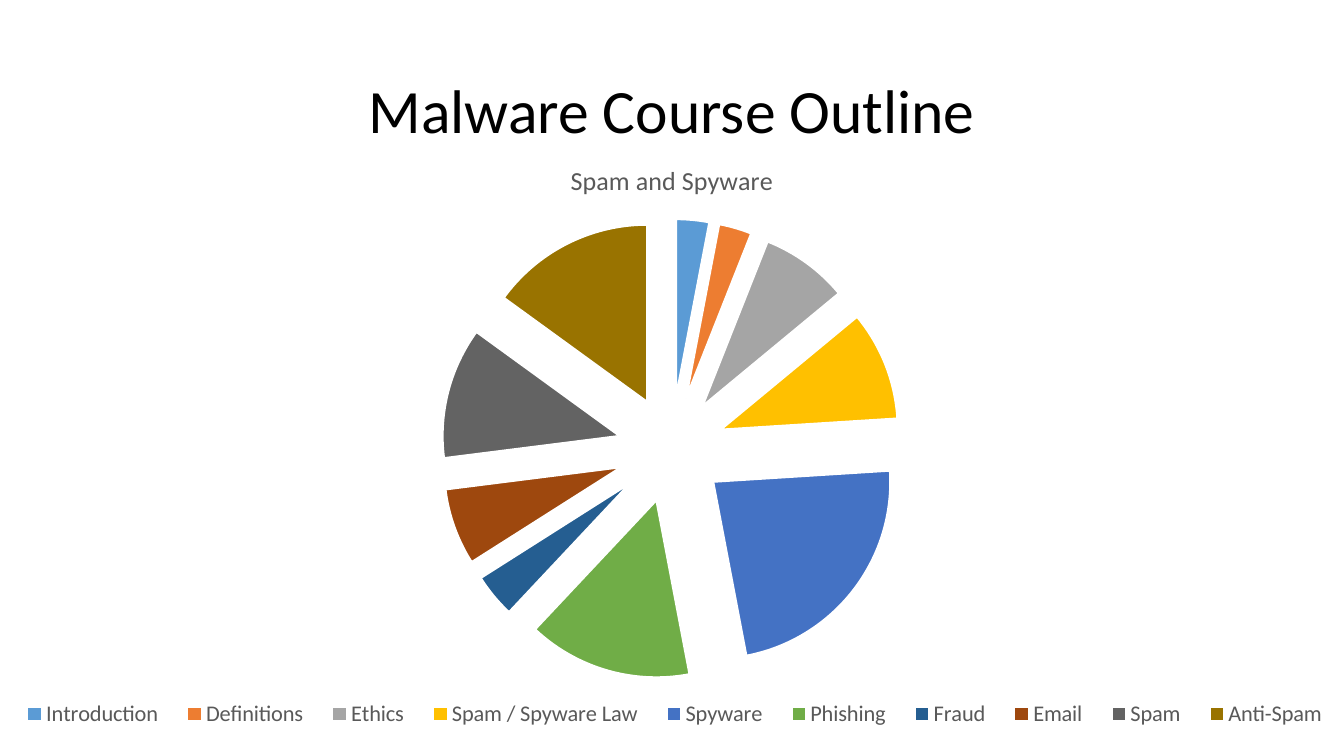
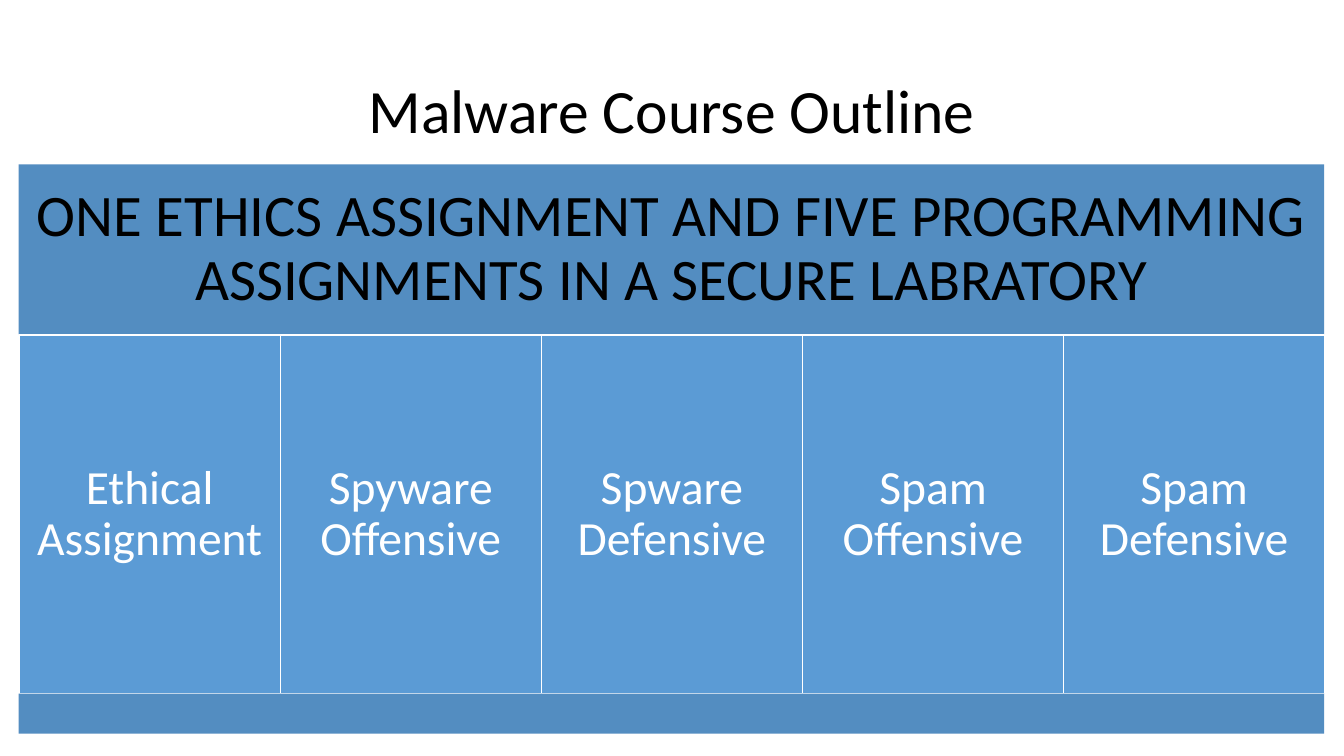
from pptx import Presentation
from pptx.chart.data import CategoryChartData as Data
from pptx.dml.color import RGBColor as Rgb
from pptx.enum.chart import XL_CHART_TYPE as Kind, XL_LEGEND_POSITION as Side
from pptx.enum.shapes import MSO_SHAPE as Form
from pptx.enum.text import MSO_ANCHOR as Anchor, PP_ALIGN as Align
from pptx.util import Pt
from lxml import etree

FONT = "Calibri"
SPACE = "{http://schemas.openxmlformats.org/drawingml/2006/chart}"
HUES = {
    "black": "000000", "white": "FFFFFF", "text": "595959",
    "band": "538DC1", "cell": "5B9BD5",
}
PARTS = [
    ("Introduction", 3, "5B9BD5"),
    ("Definitions", 3, "ED7D31"),
    ("Ethics", 8, "A5A5A5"),
    ("Spam / Spyware Law", 10, "FFC000"),
    ("Spyware", 23, "4472C4"),
    ("Phishing", 15, "70AD47"),
    ("Fraud", 4, "255E91"),
    ("Email", 7, "9E480E"),
    ("Spam", 12, "636363"),
    ("Anti-Spam", 15, "997300"),
]
TASKS = ["Ethical Assignment", "Spyware Offensive", "Spware Defensive",
         "Spam Offensive", "Spam Defensive"]


def style(font, size, hue):
    font.name = FONT
    font.size = Pt(size)
    font.bold = False
    font.color.rgb = Rgb.from_string(HUES[hue])


def box(slide, left, top, width, height, fill, text="", size=18, hue="black", pad=0):
    rect = slide.shapes.add_shape(Form.RECTANGLE, Pt(left), Pt(top), Pt(width), Pt(height))
    rect.shadow.inherit = False
    rect.fill.solid()
    rect.fill.fore_color.rgb = Rgb.from_string(HUES[fill])
    rect.line.fill.background()
    if text:
        frame = rect.text_frame
        frame.word_wrap = True
        frame.vertical_anchor = Anchor.MIDDLE
        frame.margin_left = frame.margin_right = Pt(pad)
        frame.margin_top = frame.margin_bottom = Pt(pad)
        para = frame.paragraphs[0]
        para.text = text
        para.alignment = Align.CENTER
        para.line_spacing = 0.9
        style(para.font, size, hue)
    return rect


deck = Presentation()
deck.slide_width, deck.slide_height = Pt(960), Pt(540)

for _ in range(2):
    slide = deck.slides.add_slide(deck.slide_layouts[5])
    title = slide.shapes.title
    title.left, title.top, title.width, title.height = Pt(66), Pt(28.8), Pt(828), Pt(104.4)
    title.text_frame.vertical_anchor = Anchor.MIDDLE
    para = title.text_frame.paragraphs[0]
    para.text = "Malware Course Outline"
    para.alignment = Align.CENTER
    para.line_spacing = 0.9
    style(para.font, 44, "black")

first, second = deck.slides

data = Data()
data.categories = [name for name, _, _ in PARTS]
data.add_series("Spam and Spyware", [value for _, value, _ in PARTS])
wide, high = 960, 427
chart = first.shapes.add_chart(Kind.PIE, Pt(0), Pt(100), Pt(wide), Pt(high), data).chart
style(chart.font, 10, "black")
chart.has_title = True
head = chart.chart_title.text_frame.paragraphs[0]
head.text = "Spam and Spyware"
style(head.font, 18.6, "text")
chart.has_legend = True
chart.legend.position = Side.BOTTOM
chart.legend.include_in_layout = False
style(chart.legend.font, 16, "text")

plot = chart.plots[0]
plot.vary_by_categories = True
pie = plot.series[0]
for i, (_, _, hue) in enumerate(PARTS):
    look = pie.points[i].format
    look.fill.solid()
    look.fill.fore_color.rgb = Rgb.from_string(hue)
    look.line.color.rgb = Rgb.from_string(HUES["white"])
    look.line.width = Pt(1.5)
burst = etree.Element(SPACE + "explosion", val="30")
pie._element.find(SPACE + "dPt").addprevious(burst)

area = chart._chartSpace.find(".//" + SPACE + "plotArea")
key = chart.legend._element
for owner, inner, frame in [(area, True, (315, 56.4, 329, 329)),
                            (key, False, (4, 395, 956, 30))]:
    for old in owner.findall(SPACE + "layout"):
        owner.remove(old)
    layout = etree.Element(SPACE + "layout")
    manual = etree.SubElement(layout, SPACE + "manualLayout")
    if inner:
        etree.SubElement(manual, SPACE + "layoutTarget", val="inner")
    for mode in ("xMode", "yMode"):
        etree.SubElement(manual, SPACE + mode, val="edge")
    for side, size, whole in zip("xywh", frame, (wide, high) * 2):
        etree.SubElement(manual, SPACE + side, val=f"{size / whole:.4f}")
    owner.insert(0 if inner else 1, layout)

left, wide = 13.3, 932.5
box(second, left, 117.5, wide, 121.6, "band",
    "ONE ETHICS ASSIGNMENT AND FIVE PROGRAMMING ASSIGNMENTS IN A SECURE LABRATORY",
    42, "black", 12)
step = wide / len(TASKS)
for i, task in enumerate(TASKS):
    cell = box(second, left + 0.4 + i * step, 239.3, step, 256.3, "cell", task, 34, "white", 10)
    cell.line.color.rgb = Rgb.from_string(HUES["white"])
    cell.line.width = Pt(1)
box(second, left, 495.4, wide, 28.6, "band")

deck.save("out.pptx")
